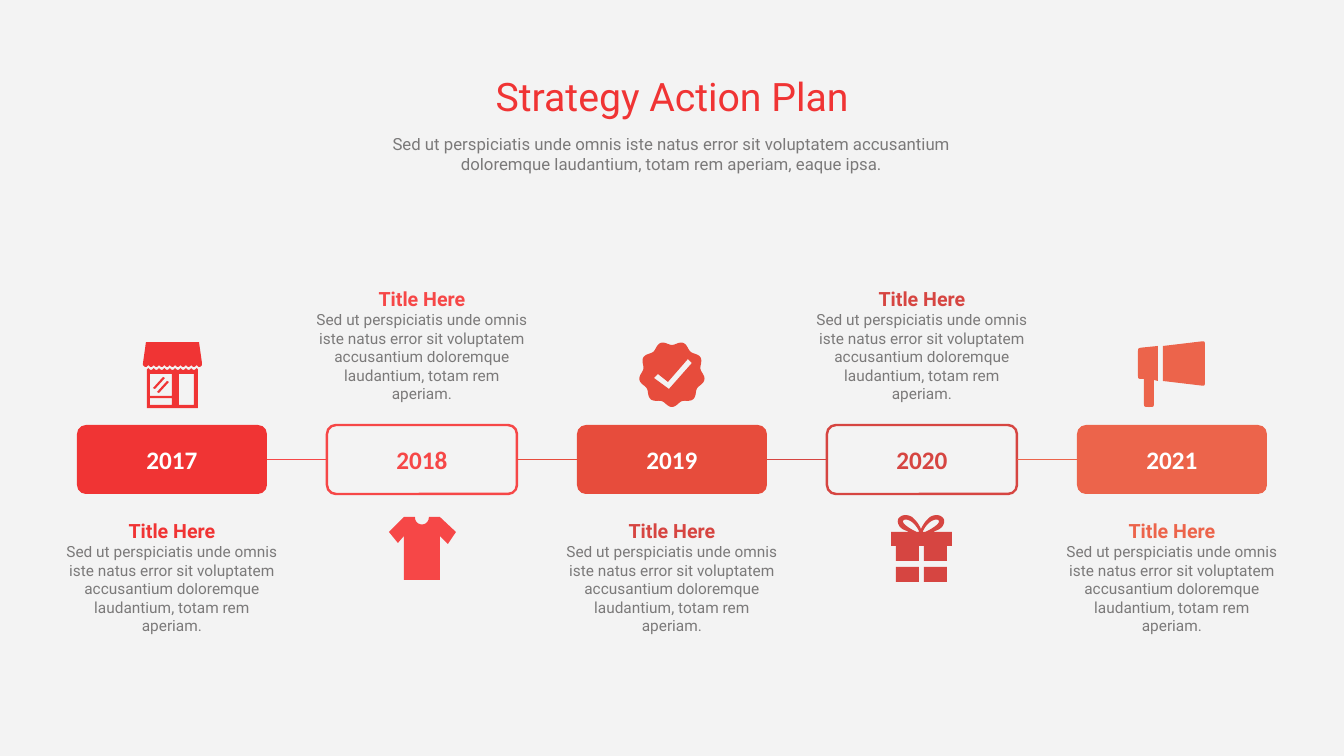
import math

from lxml import etree
from pptx import Presentation
from pptx.dml.color import RGBColor
from pptx.enum.shapes import MSO_CONNECTOR, MSO_SHAPE
from pptx.enum.text import MSO_ANCHOR, MSO_AUTO_SIZE, PP_ALIGN
from pptx.oxml.ns import qn
from pptx.util import Emu, Pt

STRAIGHT = MSO_CONNECTOR.STRAIGHT
ROUND_RECT = MSO_SHAPE.ROUNDED_RECTANGLE
TOP, MIDDLE, BOTTOM = MSO_ANCHOR.TOP, MSO_ANCHOR.MIDDLE, MSO_ANCHOR.BOTTOM
FIT = MSO_AUTO_SIZE.SHAPE_TO_FIT_TEXT
CENTER = PP_ALIGN.CENTER

SCALE = 914400 / 100.8
GRAY = RGBColor(0xF3, 0xF3, 0xF3)
WHITE = RGBColor(0xFF, 0xFF, 0xFF)
INK = RGBColor(0x20, 0x1E, 0x1E)
RED = RGBColor(0xF0, 0x34, 0x34)
CORAL = RGBColor(0xF6, 0x47, 0x47)
TOMATO = RGBColor(0xE7, 0x4C, 0x3C)
BRICK = RGBColor(0xD6, 0x45, 0x41)
ORANGE = RGBColor(0xEC, 0x64, 0x4B)

INTRO = ("Sed ut perspiciatis unde omnis iste natus error sit voluptatem accusantium "
         "doloremque laudantium, totam rem aperiam, eaque ipsa.")
DETAIL = ("Sed ut perspiciatis unde omnis iste natus error sit voluptatem accusantium "
          "doloremque laudantium, totam rem aperiam.")
STEPS = [
    ("2017", RED, RED),
    ("2018", CORAL, CORAL),
    ("2019", TOMATO, BRICK),
    ("2020", BRICK, BRICK),
    ("2021", ORANGE, ORANGE),
]
FIRST_CENTER, PITCH = 172, 250
BOX_W, BOX_H, BOX_TOP = 190, 69, 425
TEXT_W, TEXT_H, TEXT_ABOVE, TEXT_BELOW = 232, 127, 282, 514


def px(n):
    return Emu(round(n * SCALE))


def style_paragraph(p, text, size, color, font="Roboto", bold=False, alpha=None):
    p.text = text
    p.alignment = CENTER
    r = p.runs[0]
    r.font.name = font
    r.font.size = Pt(size)
    r.font.bold = bold
    r.font.color.rgb = color
    if alpha:
        clr = r.font._element.find(".//" + qn("a:srgbClr"))
        etree.SubElement(clr, qn("a:alpha")).set("val", str(alpha * 1000))


def add_text(s, x, y, w, h, anchor=TOP):
    tf = s.shapes.add_textbox(px(x), px(y), px(w), px(h)).text_frame
    tf.word_wrap = True
    tf.auto_size = FIT
    tf.vertical_anchor = anchor
    return tf


def add_year_box(s, center, year, color, outlined):
    sp = s.shapes.add_shape(ROUND_RECT, px(center - BOX_W / 2), px(BOX_TOP), px(BOX_W), px(BOX_H))
    sp.adjustments[0] = 0.13
    sp.shadow.inherit = False
    sp.fill.solid()
    sp.fill.fore_color.rgb = GRAY if outlined else color
    if outlined:
        sp.line.color.rgb = color
        sp.line.width = Pt(1.75)
    else:
        sp.line.fill.background()
    sp.text_frame.vertical_anchor = MIDDLE
    style_paragraph(sp.text_frame.paragraphs[0], year, 18, color if outlined else WHITE,
                    font="Calibri", bold=True)
    return sp


def add_link(s, left_box, right_box, color):
    c = s.shapes.add_connector(STRAIGHT, 0, 0, 0, 0)
    c.begin_connect(left_box, 3)
    c.end_connect(right_box, 1)
    c.line.color.rgb = color
    c.line.width = Pt(1.25)
    etree.SubElement(c._element.spPr, qn("a:effectLst"))


def add_step_text(s, center, top, color):
    tf = add_text(s, center - TEXT_W / 2, top, TEXT_W, TEXT_H)
    style_paragraph(tf.paragraphs[0], "Title Here", 14, color, bold=True)
    style_paragraph(tf.add_paragraph(), DETAIL, 11, INK, alpha=56)


def add_icon(s, color, contours):
    outlines = [[(px(x), px(y)) for x, y in contour] for contour in contours]
    fb = s.shapes.build_freeform(*outlines[0][0])
    fb.add_line_segments(outlines[0][1:], close=True)
    for outline in outlines[1:]:
        fb.move_to(*outline[0])
        fb.add_line_segments(outline[1:], close=True)
    sp = fb.convert_to_shape()
    sp.shadow.inherit = False
    sp.fill.solid()
    sp.fill.fore_color.rgb = color
    sp.line.fill.background()


def rect(left, top, right, bottom):
    return [(left, top), (right, top), (right, bottom), (left, bottom)]


def curve(a, b, c, d, steps=10):
    points = []
    for i in range(steps + 1):
        t = i / steps
        u = 1 - t
        weights = (u ** 3, 3 * u * u * t, 3 * u * t * t, t ** 3)
        points.append(tuple(sum(w * q[k] for w, q in zip(weights, (a, b, c, d))) for k in (0, 1)))
    return points


def rounded(corners, radius=5):
    points = []
    for i, (x, y, is_round) in enumerate(corners):
        if not is_round:
            points.append((x, y))
            continue
        ends = []
        for nx, ny, _ in (corners[i - 1], corners[(i + 1) % len(corners)]):
            f = radius / math.hypot(nx - x, ny - y)
            ends.append((x + (nx - x) * f, y + (ny - y) * f))
        points += curve(ends[0], (x, y), (x, y), ends[1])
    return points


def scallops(left, right, top):
    return [(x / 2, top + 2 * abs(math.sin(math.pi * 11 * (x / 2 - 143) / 59)))
            for x in range(2 * left, 2 * right + 1)]


def shop():
    roof = [(202, 363), (199, 342), (146, 342), (143, 363)] + scallops(143, 202, 365)
    wall = scallops(147, 198, 368) + [(198, 408), (147, 408)]
    panes = [rect(150, 374, 172, 396), rect(150, 398, 172, 405), rect(179, 374, 194, 405)]
    glares = [[(x, y), (x + 10, y - 11), (x + 12, y - 10), (x + 2, y + 1)]
              for x, y in ((153, 388), (157, 392))]
    return [roof, wall] + panes + glares


def shirt():
    neck = curve((415, 517), (415, 527), (429, 527), (429, 517))
    return [[(389, 532), (404, 517)] + neck + [
        (440, 517), (456, 532), (448, 544), (440, 536),
        (440, 580), (404, 580), (404, 536), (398, 543)]]


def badge():
    angles = [math.radians(a) for a in range(0, 360, 2)]
    rim = []
    for a in angles:
        radius = 31 + 2 * math.cos(9 * (a - math.pi / 2))
        rim.append((672 + radius * math.cos(a), 374 + radius * math.sin(a)))
    check = [(669, 389), (654, 378), (658, 374), (668, 382), (688, 359), (692, 363)]
    return [rim, check]


def gift():
    lid = [(891, 532), (952, 532), (952, 546), (947, 546), (947, 561), (924, 561),
           (924, 546), (919, 546), (919, 561), (896, 561), (896, 546), (891, 546)]
    loop = ([(909, 532)]
            + curve((907, 531), (904, 530), (902, 529), (900, 527))
            + curve((900, 527), (897, 523), (897, 519), (900, 517))
            + curve((900, 517), (903, 514), (909, 515), (912, 517))
            + curve((912, 517), (918, 522), (920, 527), (921, 529))
            + [(921, 532)])
    hole = (curve((919, 531), (913, 519), (904, 518), (903, 521))
            + curve((903, 521), (902, 524), (912, 530), (917, 532)) + [(919, 532)])
    bow = [loop, hole]
    mirrored = [[(2 * 921 - x, y) for x, y in part] for part in bow]
    return [lid, rect(896, 567, 919, 582), rect(924, 567, 947, 582)] + bow + mirrored


def megaphone():
    horn = [(1163, 346, False), (1205, 341, True), (1205, 386, True), (1163, 381, False)]
    body = [(1138, 348, True), (1158, 346, False), (1158, 381, False), (1154, 380, False),
            (1154, 407, True), (1144, 407, True), (1144, 379, False), (1138, 379, True)]
    return [rounded(horn), rounded(body)]


def main():
    prs = Presentation()
    prs.slide_width, prs.slide_height = px(1344), px(756)
    s = prs.slides.add_slide(prs.slide_layouts[6])
    s.background.fill.solid()
    s.background.fill.fore_color.rgb = GRAY

    title = add_text(s, 443, 67, 458, 57, BOTTOM)
    style_paragraph(title.paragraphs[0], "Strategy Action Plan", 28, RED)
    intro = add_text(s, 339, 129, 665, 50)
    style_paragraph(intro.paragraphs[0], INTRO, 12, INK, alpha=56)

    icons = [shop, shirt, badge, gift, megaphone]
    previous = None
    for i, ((year, color, title_color), icon) in enumerate(zip(STEPS, icons)):
        center = FIRST_CENTER + i * PITCH
        outlined = i % 2 == 1
        box = add_year_box(s, center, year, color, outlined)
        if previous:
            add_link(s, previous, box, color)
        previous = box
        add_step_text(s, center, TEXT_ABOVE if outlined else TEXT_BELOW, title_color)
        add_icon(s, color, icon())

    prs.save("out.pptx")


if __name__ == "__main__":
    main()
